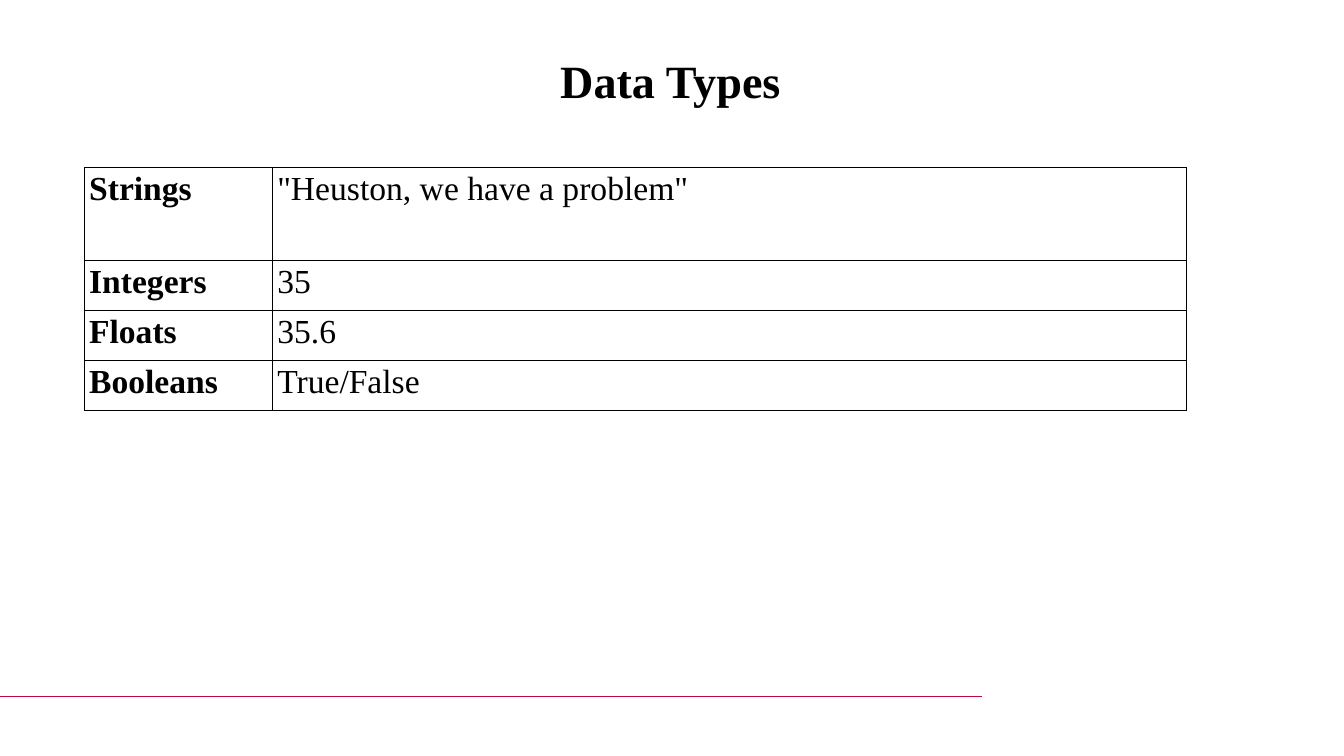
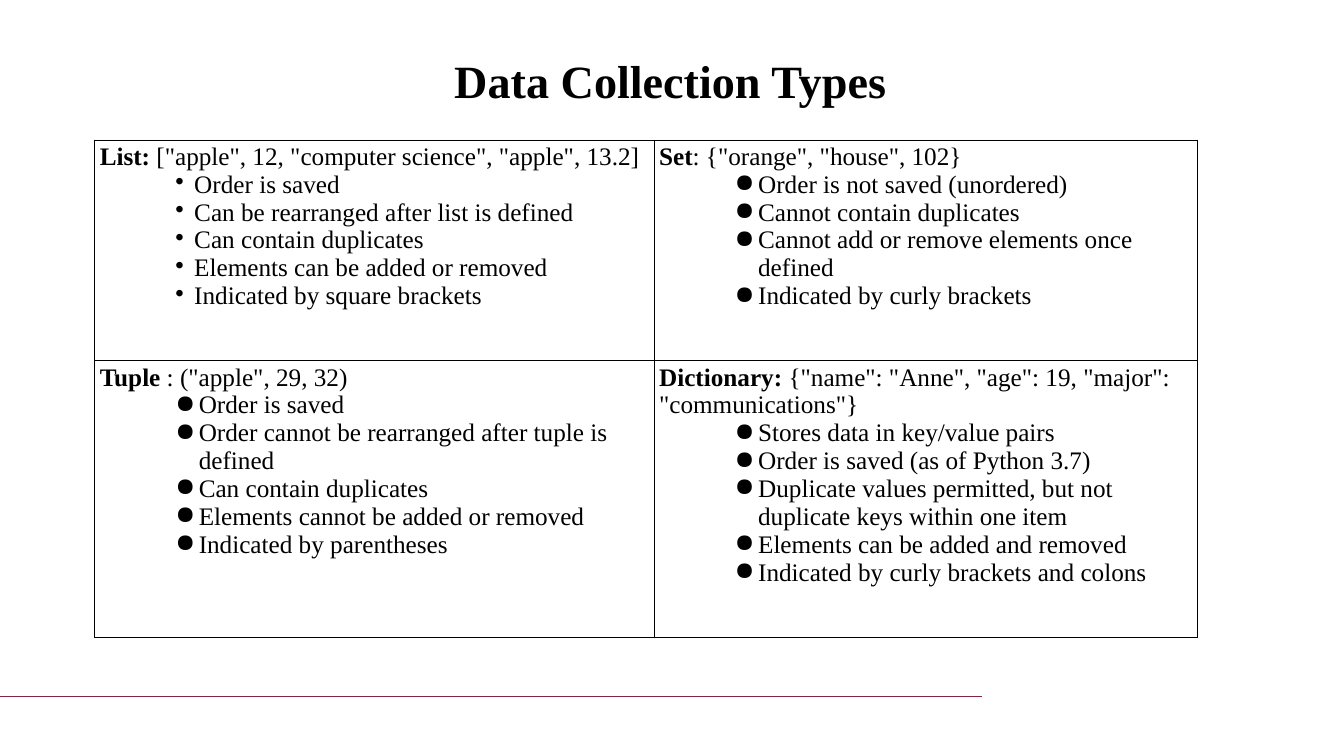
from dataclasses import dataclass

from lxml import etree
from pptx import Presentation
from pptx import util as u
from pptx.dml.color import RGBColor
from pptx.enum import text
from pptx.oxml.ns import qn

SLIDE_WIDTH, SLIDE_HEIGHT = u.Inches(17.78), u.Inches(10)
TITLE_ONLY = 5
FONT = "Times New Roman"
BLACK, WHITE, CRIMSON = "000000", "FFFFFF", "BC0940"
TITLE_BOX = (3.71, 6.4, 92.35, 8.4)
FOOTER_BOX = (0, 92, 73.06, 0.1)


@dataclass
class Entry:
    """Text of one table cell: a bold lead, plain words and bullets."""
    lead: str = ""
    words: str = ""
    bullets: tuple = ()
    marker: str = "●"
    indent: float = 1.31
    hanging: float = 0.31


DATA_TYPES = [
    [Entry("Strings"), Entry(words='"Heuston, we have a problem"')],
    [Entry("Integers"), Entry(words="35")],
    [Entry("Floats"), Entry(words="35.6")],
    [Entry("Booleans"), Entry(words="True/False")],
]

COLLECTION_TYPES = [
    [
        Entry("List: ", '["apple", 12, "computer science", "apple", 13.2]', (
            "Order is saved",
            "Can be rearranged after list is defined",
            "Can contain duplicates",
            "Elements can be added or removed",
            "Indicated by square brackets",
        ), "•", 1.25, 0.25),
        Entry("Set", ': {"orange", "house", 102}', (
            "Order is not saved (unordered)",
            "Cannot contain duplicates",
            "Cannot add or remove elements once defined",
            "Indicated by curly brackets",
        )),
    ],
    [
        Entry("Tuple ", ': ("apple", 29, 32)', (
            "Order is saved",
            "Order cannot be rearranged after tuple is defined",
            "Can contain duplicates",
            "Elements cannot be added or removed",
            "Indicated by parentheses",
        )),
        Entry("Dictionary:", ' {"name": "Anne", "age": 19, "major": "communications"}', (
            "Stores data in key/value pairs",
            "Order is saved (as of Python 3.7)",
            "Duplicate values permitted, but not duplicate keys within one item",
            "Elements can be added and removed",
            "Indicated by curly brackets and colons",
        )),
    ],
]


def color(value):
    """Turn a hex string into a colour."""
    return RGBColor.from_string(value)


def across(columns):
    """Length of some of the slide's 100 grid columns."""
    return round(SLIDE_WIDTH * columns / 100)


def down(rows):
    """Length of some of the slide's 100 grid rows."""
    return round(SLIDE_HEIGHT * rows / 100)


def place(box):
    """Turn a grid box into left, top, width and height."""
    left, top, width, height = box
    return across(left), down(top), across(width), down(height)


def add_run(paragraph, words, size, bold=False):
    """Add one run in the shared font."""
    run = paragraph.add_run()
    run.text = words
    run.font.name, run.font.size, run.font.bold = FONT, u.Pt(size), bold
    run.font.color.rgb = color(BLACK)


def add_title(slide, words, box):
    """Place and fill the slide's title."""
    title = slide.shapes.title
    title.left, title.top, title.width, title.height = place(box)
    frame = title.text_frame
    frame.word_wrap = True
    frame.auto_size = text.MSO_AUTO_SIZE.SHAPE_TO_FIT_TEXT
    frame.vertical_anchor = text.MSO_ANCHOR.BOTTOM
    paragraph = frame.paragraphs[0]
    paragraph.alignment = text.PP_ALIGN.CENTER
    add_run(paragraph, words, 44, bold=True)


def add_footer_rule(slide, box):
    """Draw the thin rule above the bottom edge."""
    left, top, width, height = place(box)
    right, bottom = left + width, top + height
    outline = slide.shapes.build_freeform(right, top)
    outline.add_line_segments([(left, top), (left, bottom), (right, bottom)], close=True)
    rule = outline.convert_to_shape()
    rule.shadow.inherit = False
    rule.fill.solid()
    rule.fill.fore_color.rgb = color(CRIMSON)
    rule.line.fill.background()


def add_bullet(paragraph, entry):
    """Give a paragraph its indent and bullet marker."""
    paragraph.level = 2
    properties = paragraph._p.get_or_add_pPr()
    properties.set("marL", str(u.Inches(entry.indent)))
    properties.set("indent", str(-u.Inches(entry.hanging)))
    bullet_color = etree.SubElement(properties, qn("a:buClr"))
    etree.SubElement(bullet_color, qn("a:srgbClr"), val=BLACK)
    etree.SubElement(properties, qn("a:buChar"), char=entry.marker)


def style_cell(cell):
    """Set the borders, fill and margins of a cell."""
    properties = cell._tc.get_or_add_tcPr()
    for side in "LRTB":
        border = etree.SubElement(properties, qn(f"a:ln{side}"), w=str(u.Pt(0.75)))
        fill = etree.SubElement(border, qn("a:solidFill"))
        etree.SubElement(fill, qn("a:srgbClr"), val=BLACK)
    cell.fill.solid()
    cell.fill.fore_color.rgb = color(WHITE)
    cell.margin_left = cell.margin_right = u.Inches(0.07)
    cell.margin_top = cell.margin_bottom = u.Inches(0.04)


def fill_cell(cell, entry, size):
    """Write an entry into a cell."""
    style_cell(cell)
    heading = cell.text_frame.paragraphs[0]
    if entry.lead:
        add_run(heading, entry.lead, size, bold=True)
    if entry.words:
        add_run(heading, entry.words, size)
    for words in entry.bullets:
        paragraph = cell.text_frame.add_paragraph()
        add_bullet(paragraph, entry)
        add_run(paragraph, words, size)


def add_entry_table(slide, entries, left, top, columns, rows, size):
    """Build a table of entries from grid column widths and row heights."""
    box = place((left, top, sum(columns), sum(rows)))
    table = slide.shapes.add_table(len(rows), len(columns), *box).table
    table.first_row = table.horz_banding = False
    for column, width in zip(table.columns, columns):
        column.width = across(width)
    for row, height, row_entries in zip(table.rows, rows, entries):
        row.height = down(height)
        for cell, entry in zip(row.cells, row_entries):
            fill_cell(cell, entry, size)


def add_table_slide(presentation, title, **table):
    """Add a slide with a title, the footer rule and one table."""
    slide = presentation.slides.add_slide(presentation.slide_layouts[TITLE_ONLY])
    add_footer_rule(slide, FOOTER_BOX)
    add_title(slide, title, TITLE_BOX)
    add_entry_table(slide, **table)


def main():
    """Build and save the presentation."""
    presentation = Presentation()
    presentation.slide_width, presentation.slide_height = SLIDE_WIDTH, SLIDE_HEIGHT
    add_table_slide(presentation, "Data Types", entries=DATA_TYPES, left=6.24, top=22.2,
                    columns=(14, 68.05), rows=(12.3, 6.6, 6.6, 6.6), size=32)
    add_table_slide(presentation, "Data Collection Types", entries=COLLECTION_TYPES,
                    left=7.03, top=18.5, columns=(41.62, 40.44), rows=(29.2, 36.6), size=24)
    presentation.save("out.pptx")


if __name__ == "__main__":
    main()
